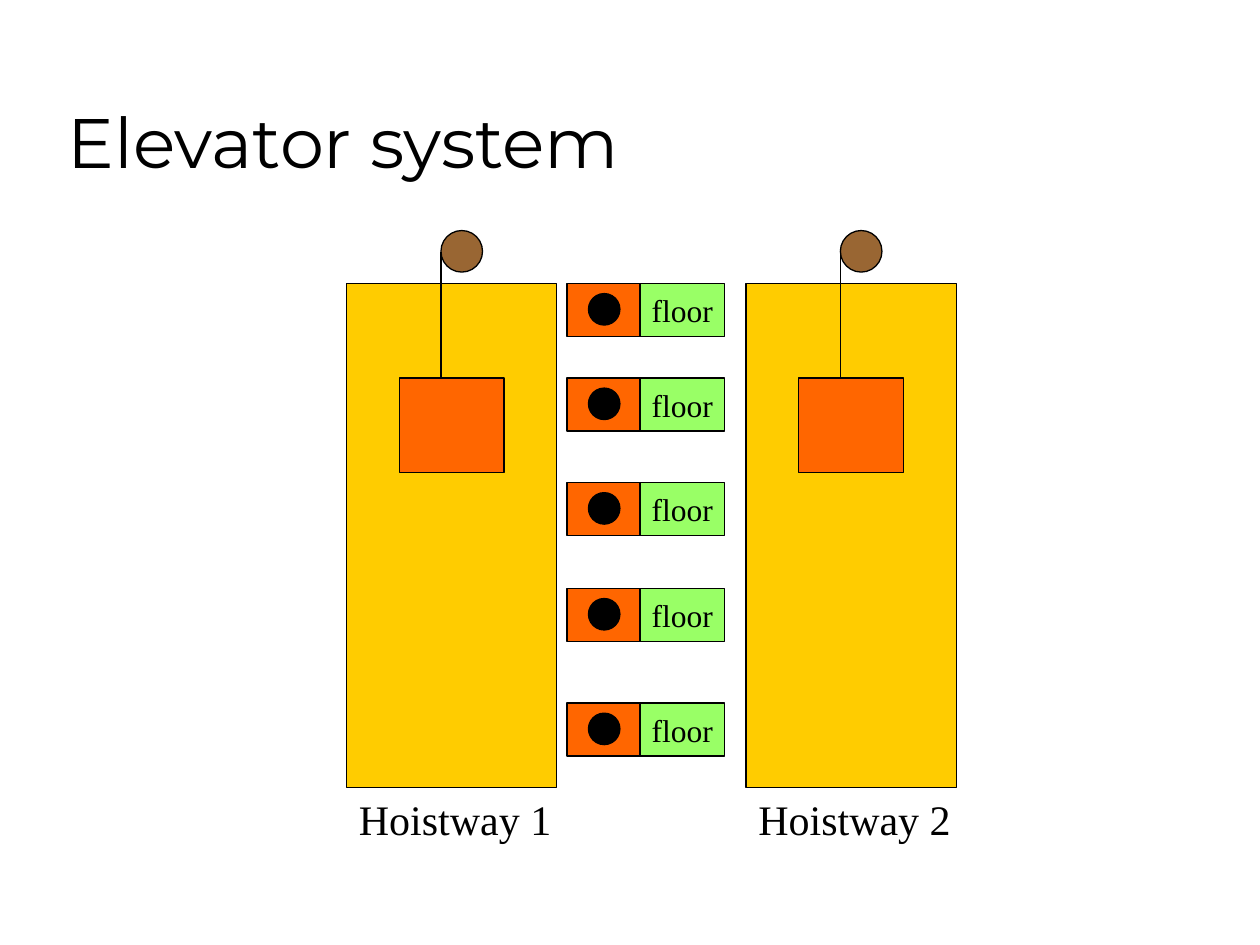
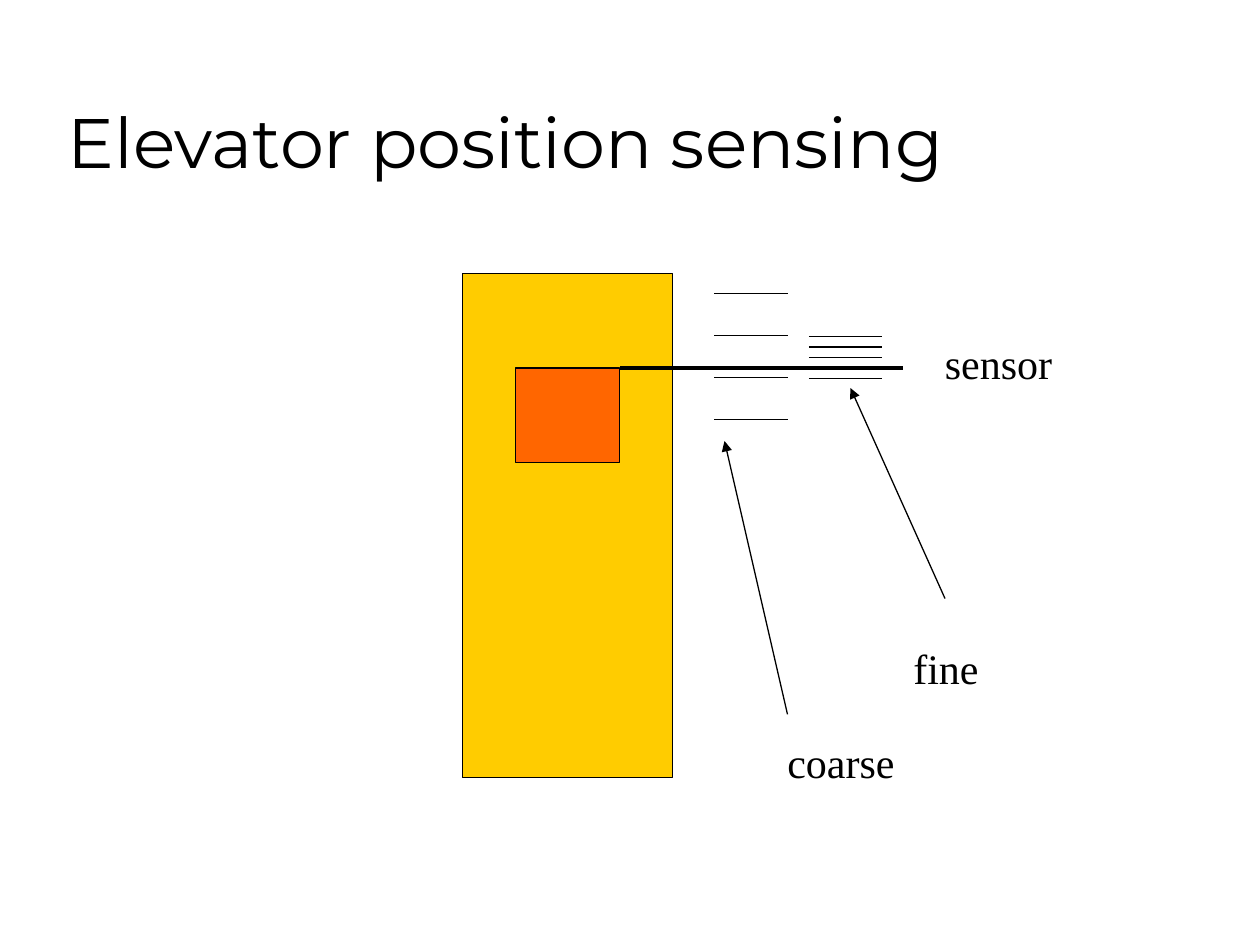
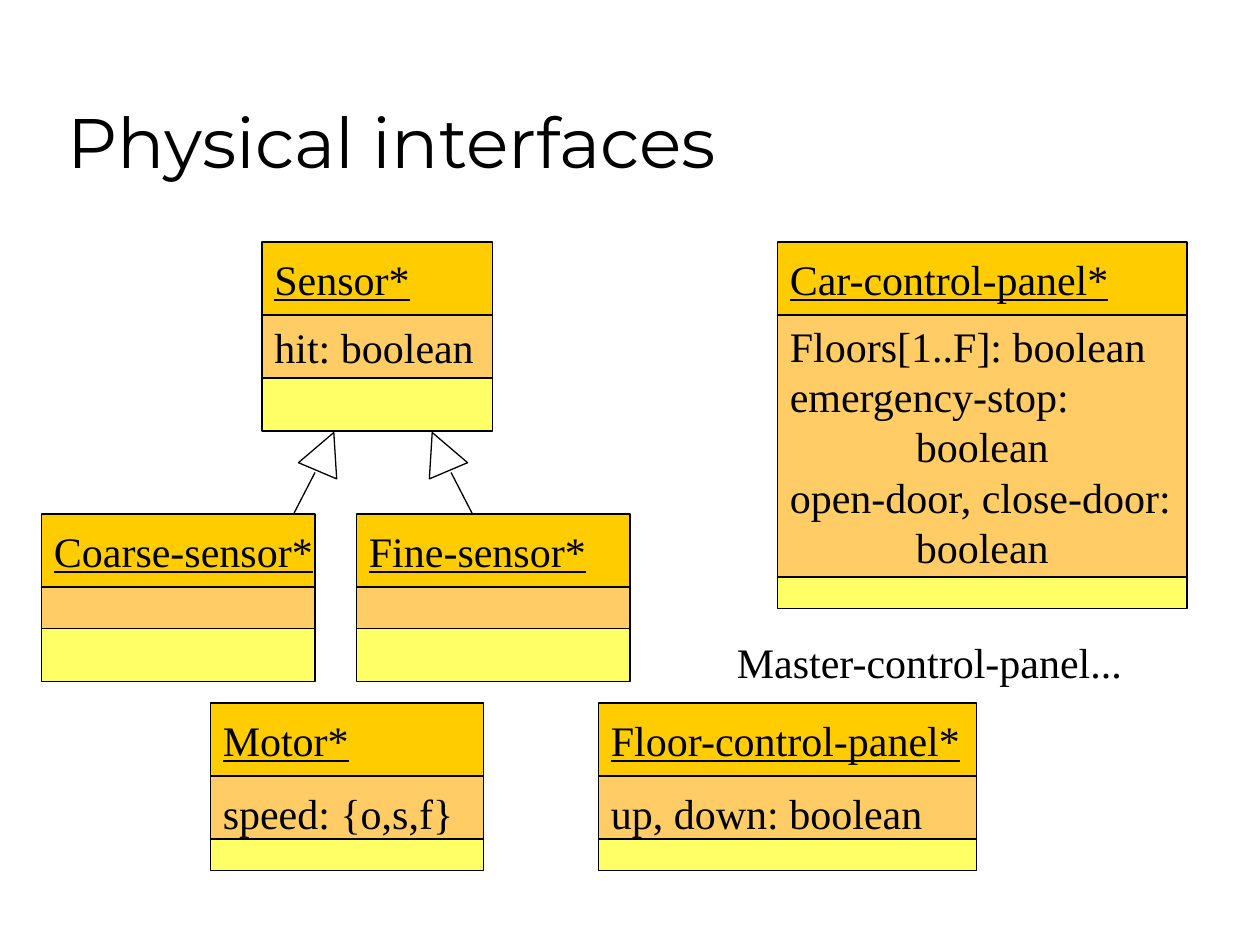
from lxml import etree
from pptx import Presentation
from pptx.dml.color import RGBColor
from pptx.enum.shapes import MSO_CONNECTOR, MSO_SHAPE
from pptx.enum.text import MSO_ANCHOR, MSO_AUTO_SIZE, PP_ALIGN
from pptx.oxml.ns import qn
from pptx.util import Inches, Pt

RECTANGLE, OVAL, TRIANGLE = MSO_SHAPE.RECTANGLE, MSO_SHAPE.OVAL, MSO_SHAPE.ISOSCELES_TRIANGLE
STRAIGHT = MSO_CONNECTOR.STRAIGHT
LEFT, CENTER = PP_ALIGN.LEFT, PP_ALIGN.CENTER
TOP, MIDDLE, BOTTOM = MSO_ANCHOR.TOP, MSO_ANCHOR.MIDDLE, MSO_ANCHOR.BOTTOM
FIT_SHAPE = MSO_AUTO_SIZE.SHAPE_TO_FIT_TEXT

BLACK = RGBColor(0x00, 0x00, 0x00)
WHITE = RGBColor(0xFF, 0xFF, 0xFF)
GOLD = RGBColor(0xFF, 0xCC, 0x00)
ORANGE = RGBColor(0xFF, 0x66, 0x00)
BROWN = RGBColor(0x99, 0x66, 0x33)
GREEN = RGBColor(0x99, 0xFF, 0x66)
APRICOT = RGBColor(0xFF, 0xCC, 0x66)
YELLOW = RGBColor(0xFF, 0xFF, 0x66)

TITLE_FONT = "Montserrat"
BODY_FONT = "Times New Roman"
LINE_WIDTH = 0.75

CAR_LEFT, CAR_TOP = 0.42, 0.75
CAR_WIDTH, CAR_HEIGHT = 0.83, 0.75
SHAFT_WIDTH, SHAFT_HEIGHT = 1.67, 4
NAME_HEIGHT = 0.58


def write(box, lines, size=24, font=BODY_FONT, align=LEFT, anchor=TOP,
          underline=None, wrap=False):
    """Fill a shape with one paragraph per line."""
    frame = box.text_frame
    frame.word_wrap = wrap
    frame.vertical_anchor = anchor
    for index, line in enumerate(lines):
        para = frame.add_paragraph() if index else frame.paragraphs[0]
        para.text = line
        para.alignment = align
        if "\t" in line:
            tabs = etree.SubElement(para._p.get_or_add_pPr(), qn("a:tabLst"))
            etree.SubElement(tabs, qn("a:tab"), pos=str(Inches(1)), algn="l")
        para.font.name = font
        para.font.size = Pt(size)
        para.font.color.rgb = BLACK
        para.font.underline = underline


def add_shape(page, kind, left, top, width, height, fill):
    """Draw a filled preset shape with a thin black outline."""
    shape = page.shapes.add_shape(
        kind, Inches(left), Inches(top), Inches(width), Inches(height))
    shape.shadow.inherit = False
    shape.fill.solid()
    shape.fill.fore_color.rgb = fill
    shape.line.color.rgb = BLACK
    shape.line.width = Pt(LINE_WIDTH)
    return shape


def add_line(page, start, end, width=LINE_WIDTH, arrow=False):
    """Draw a black straight line, with an arrowhead at its end if asked."""
    line = page.shapes.add_connector(
        STRAIGHT, *(Inches(value) for value in (*start, *end)))
    line.line.color.rgb = BLACK
    line.line.width = Pt(width)
    properties = line._element.spPr
    if arrow:
        etree.SubElement(properties.find(qn("a:ln")), qn("a:tailEnd"), type="triangle")
    etree.SubElement(properties, qn("a:effectLst"))


def add_label(page, text, left, top, width):
    """Place a free one-line label."""
    box = page.shapes.add_textbox(
        Inches(left), Inches(top), Inches(width), Inches(0.5))
    write(box, [text])
    box.text_frame.auto_size = FIT_SHAPE


def add_page(deck, title):
    """Add a blank slide with the shared title style."""
    page = deck.slides.add_slide(deck.slide_layouts[6])
    box = page.shapes.add_textbox(Inches(0.44), Inches(0.25), Inches(8.5), Inches(1.25))
    write(box, [title], size=40, font=TITLE_FONT, anchor=BOTTOM, wrap=True)
    return page


def add_shaft(page, left, top):
    """Draw a hoistway shaft with its car."""
    add_shape(page, RECTANGLE, left, top, SHAFT_WIDTH, SHAFT_HEIGHT, GOLD)
    add_shape(page, RECTANGLE, left + CAR_LEFT, top + CAR_TOP,
              CAR_WIDTH, CAR_HEIGHT, ORANGE)


def add_hoistway(page, left, top, name):
    """Draw a shaft with pulley, rope and name."""
    add_shaft(page, left, top)
    rope_left = left + 0.75
    add_shape(page, OVAL, rope_left, top - 0.42, 0.33, 0.33, BROWN)
    add_line(page, (rope_left, top - 0.25), (rope_left, top + CAR_TOP))
    add_label(page, name, left, top + SHAFT_HEIGHT, 1.73)


def add_floor(page, left, top):
    """Draw one floor with its call button."""
    add_shape(page, RECTANGLE, left, top, 0.58, 0.42, ORANGE)
    add_shape(page, OVAL, left + 0.17, top + 0.08, 0.25, 0.25, BLACK)
    floor = add_shape(page, RECTANGLE, left + 0.58, top, 0.67, 0.42, GREEN)
    write(floor, ["floor"], size=18, align=CENTER, anchor=MIDDLE)


def add_marks(page, left, tops):
    """Draw a column of position marks."""
    for top in tops:
        add_line(page, (left, top), (left + 0.58, top))


def add_class(page, left, top, width, name, attributes, body, operations, overlap=0):
    """Draw a class box with name, attribute and operation compartments."""
    header = add_shape(page, RECTANGLE, left, top, width, NAME_HEIGHT, GOLD)
    write(header, [name], anchor=MIDDLE, underline=True)
    body_top = top + NAME_HEIGHT
    middle = add_shape(page, RECTANGLE, left, body_top, width, body, APRICOT)
    if attributes:
        write(middle, attributes, anchor=MIDDLE)
    add_shape(page, RECTANGLE, left, body_top + body - overlap, width, operations, YELLOW)


def add_generalization(page, left, top, angle, start, end):
    """Draw a hollow arrowhead and the line that leads to it."""
    head = add_shape(page, TRIANGLE, left, top, 0.33, 0.33, WHITE)
    head.rotation = angle
    add_line(page, start, end)


def build_system(deck):
    """Build the slide with two hoistways and five floors."""
    page = add_page(deck, "Elevator system")
    for number, left in enumerate((2.75, 5.92), start=1):
        add_hoistway(page, left, 2.25, f"Hoistway {number}")
    for top in (2.25, 3, 3.83, 4.67, 5.58):
        add_floor(page, 4.5, top)


def build_sensing(deck):
    """Build the slide on coarse and fine position marks."""
    page = add_page(deck, "Elevator position sensing")
    left, top = 3.67, 2.17
    add_shaft(page, left, top)
    sensor_top = top + CAR_TOP
    add_line(page, (left + CAR_LEFT + CAR_WIDTH, sensor_top), (7.17, sensor_top), width=2.25)
    add_marks(page, 5.67, [2.33 + step / 3 for step in range(4)])
    add_marks(page, 6.42, [2.67 + step / 12 for step in range(5)])
    add_line(page, (6.25, 5.67), (5.75, 3.5), arrow=True)
    add_line(page, (7.5, 4.75), (6.75, 3.08), arrow=True)
    add_label(page, "coarse", 6.15, 5.8, 1.05)
    add_label(page, "sensor", 7.4, 2.63, 1.05)
    add_label(page, "fine", 7.15, 5.05, 0.72)


def build_interfaces(deck):
    """Build the class diagram slide."""
    page = add_page(deck, "Physical interfaces")
    add_class(page, 2.08, 1.92, 1.83, "Sensor*", ["hit: boolean"], 0.5, 0.42)
    for left, name in ((0.33, "Coarse-sensor*"), (2.83, "Fine-sensor*")):
        add_class(page, left, 4.08, 2.17, name, [], 0.33, 0.42)
    add_generalization(page, 2.42, 3.42, 23, (2.5, 3.75), (2.33, 4.08))
    add_generalization(page, 3.33, 3.42, 337, (3.58, 3.75), (3.75, 4.08))
    for left, width, name, attribute in (
            (1.67, 2.17, "Motor*", "speed: {o,s,f}"),
            (4.75, 3, "Floor-control-panel*", "up, down: boolean")):
        add_class(page, left, 5.58, width, name, [attribute], 0.58, 0.25, overlap=0.08)
    panel = ["Floors[1..F]: boolean", "emergency-stop:", "\tboolean",
             "open-door, close-door:", "\tboolean"]
    add_class(page, 6.17, 1.92, 3.25, "Car-control-panel*", panel, 2.08, 0.25)
    add_label(page, "Master-control-panel...", 5.75, 5, 3.26)


def main():
    """Build and save the deck."""
    deck = Presentation()
    deck.slide_width = Inches(10)
    deck.slide_height = Inches(7.5)
    build_system(deck)
    build_sensing(deck)
    build_interfaces(deck)
    deck.save("out.pptx")


if __name__ == "__main__":
    main()
